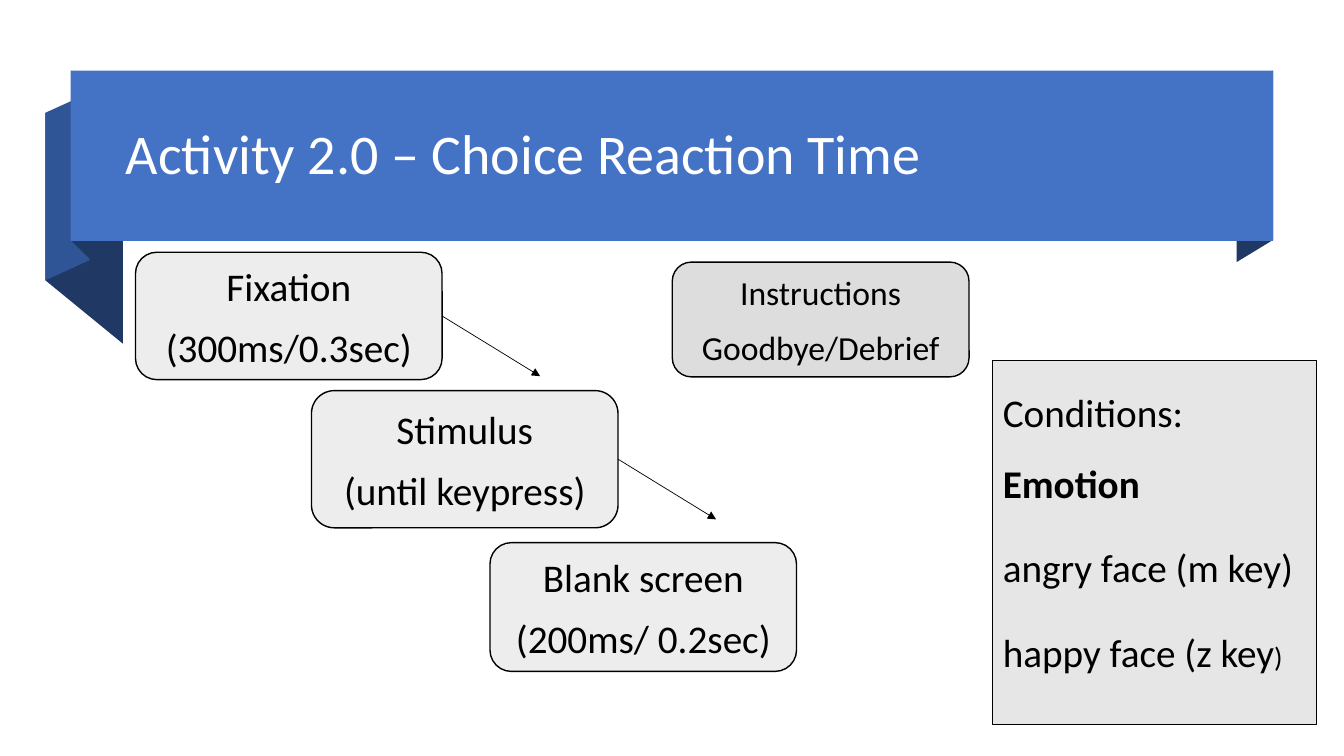
"""Builds the choice reaction time slide: ribbon title, trial sequence and conditions."""
import pptx
import pptx.dml.color
import pptx.enum.shapes
import pptx.enum.text
import pptx.oxml.ns
import pptx.oxml.xmlchemy
import pptx.util

Pt = pptx.util.Pt
RGBColor = pptx.dml.color.RGBColor
SHAPE = pptx.enum.shapes.MSO_SHAPE
ALIGN = pptx.enum.text.PP_ALIGN
ANCHOR = pptx.enum.text.MSO_ANCHOR

FONT = "Calibri"
BLACK = RGBColor(0x00, 0x00, 0x00)
WHITE = RGBColor(0xFF, 0xFF, 0xFF)
BLUE = RGBColor(0x44, 0x72, 0xC4)
MID_BLUE = RGBColor(0x2F, 0x55, 0x97)
NAVY = RGBColor(0x20, 0x38, 0x64)
STEP_GREY = RGBColor(0xED, 0xED, 0xED)
MESSAGE_GREY = RGBColor(0xDD, 0xDD, 0xDD)
CONDITION_GREY = RGBColor(0xE7, 0xE6, 0xE6)

STEP_WIDTH = 219
ARROW_RUN, ARROW_DROP = 70, 43

FOLDS = [
    (NAVY, [(909.4, 171.4), (883.4, 187.2), (883.4, 65.5), (909.4, 50.4)]),
    (NAVY, [(87.8, 245.5), (32.4, 200.2), (32.4, 80.6), (87.8, 126)]),
    (MID_BLUE, [(64.1, 185.8), (32.4, 200.2), (32.4, 80.6), (64.1, 66.2)]),
    (NAVY, [(64.1, 185), (51.1, 172.1), (51.1, 50.4), (64.1, 64.1)]),
]
STEPS = [
    (96.8, 180.2, 91, ["Fixation", "(300ms/0.3sec)"]),
    (222.5, 279, 98, ["Stimulus", "(until keypress)"]),
    (350, 387.6, 92, ["Blank screen", "(200ms/ 0.2sec)"]),
]
CONDITIONS = [
    [("Conditions: ", 28, False), ("Emotion", 28, True)],
    [("angry face (m key)", 28, False)],
    [("happy face (z key", 28, False), (")", 20, False)],
]


def paint(shape, fill, line_width=None):
    """Give a shape a flat fill, an optional black outline and no shadow."""
    shape.shadow.inherit = False
    shape.fill.solid()
    shape.fill.fore_color.rgb = fill
    if line_width is None:
        shape.line.fill.background()
    else:
        shape.line.color.rgb = BLACK
        shape.line.width = Pt(line_width)


def add_run(paragraph, text, size, color=BLACK, bold=False):
    """Append one formatted run to a paragraph."""
    run = paragraph.add_run()
    run.text = text
    run.font.name = FONT
    run.font.size = Pt(size)
    run.font.bold = bold
    run.font.color.rgb = color


def write_paragraphs(shape, paragraphs, alignment, anchor, line_spacing=None):
    """Fill a shape with paragraphs, each a list of (text, size, bold) runs."""
    frame = shape.text_frame
    frame.word_wrap = True
    frame.vertical_anchor = anchor
    for index, runs in enumerate(paragraphs):
        paragraph = frame.add_paragraph() if index else frame.paragraphs[0]
        paragraph.alignment = alignment
        paragraph.space_after = Pt(10)
        if line_spacing:
            paragraph.line_spacing = line_spacing
        for text, size, bold in runs:
            add_run(paragraph, text, size, bold=bold)


def add_box(slide, kind, bounds, fill, line_width=None):
    """Add a preset shape at (left, top, width, height) in points."""
    shape = slide.shapes.add_shape(kind, *map(Pt, bounds))
    paint(shape, fill, line_width)
    return shape


def add_card(slide, bounds, fill, lines, size):
    """Add a rounded card with centred lines of text."""
    card = add_box(slide, SHAPE.ROUNDED_RECTANGLE, bounds, fill, 1)
    paragraphs = [[(line, size, False)] for line in lines]
    write_paragraphs(card, paragraphs, ALIGN.CENTER, ANCHOR.MIDDLE)
    return card


def add_fold(slide, color, points):
    """Add one folded piece of the ribbon."""
    corners = [(Pt(x), Pt(y)) for x, y in points]
    builder = slide.shapes.build_freeform(*corners[0])
    builder.add_line_segments(corners[1:], close=True)
    paint(builder.convert_to_shape(), color)


def add_arrow(slide, card):
    """Add a slanted arrow leaving the middle of a card's right side."""
    left = card.left + card.width
    top = card.top + card.height // 2
    arrow = slide.shapes.add_connector(
        pptx.enum.shapes.MSO_CONNECTOR.STRAIGHT,
        left, top, left + Pt(ARROW_RUN), top + Pt(ARROW_DROP))
    arrow.begin_connect(card, 3)
    arrow.line.color.rgb = BLACK
    arrow.line.width = Pt(0.5)
    properties = arrow.element.find(pptx.oxml.ns.qn("p:spPr"))
    tail = pptx.oxml.xmlchemy.OxmlElement("a:tailEnd")
    tail.set("type", "triangle")
    properties.find(pptx.oxml.ns.qn("a:ln")).append(tail)
    properties.append(pptx.oxml.xmlchemy.OxmlElement("a:effectLst"))


def add_title(slide, text):
    """Place the title on top of the ribbon."""
    title = slide.shapes.title
    title.left, title.top, title.width, title.height = map(Pt, (82.8, 59.8, 811.4, 104.4))
    title.element.getparent().append(title.element)
    frame = title.text_frame
    frame.auto_size = pptx.enum.text.MSO_AUTO_SIZE.NONE
    frame.word_wrap = True
    frame.vertical_anchor = ANCHOR.MIDDLE
    paragraph = frame.paragraphs[0]
    paragraph.alignment = ALIGN.LEFT
    paragraph.line_spacing = 0.9
    add_run(paragraph, text, 40, WHITE)


def main():
    """Build the slide and save it."""
    presentation = pptx.Presentation()
    presentation.slide_width, presentation.slide_height = Pt(960), Pt(540)
    slide = presentation.slides.add_slide(presentation.slide_layouts[5])

    for color, points in FOLDS:
        add_fold(slide, color, points)
    add_box(slide, SHAPE.RECTANGLE, (50.4, 50.4, 859, 121.7), BLUE)
    add_title(slide, "Activity 2.0 – Choice Reaction Time")

    cards = [add_card(slide, (left, top, STEP_WIDTH, height), STEP_GREY, lines, 28)
             for left, top, height, lines in STEPS]
    for card in cards[:-1]:
        add_arrow(slide, card)

    add_card(slide, (480.2, 187.2, 212, 82), MESSAGE_GREY,
             ["Instructions", "Goodbye/Debrief"], 24)
    conditions = add_box(slide, SHAPE.RECTANGLE, (709.2, 257.2, 231.1, 260.6),
                         CONDITION_GREY, 0.75)
    write_paragraphs(conditions, CONDITIONS, ALIGN.LEFT, ANCHOR.TOP, 1.5)
    presentation.save("out.pptx")


if __name__ == "__main__":
    main()
